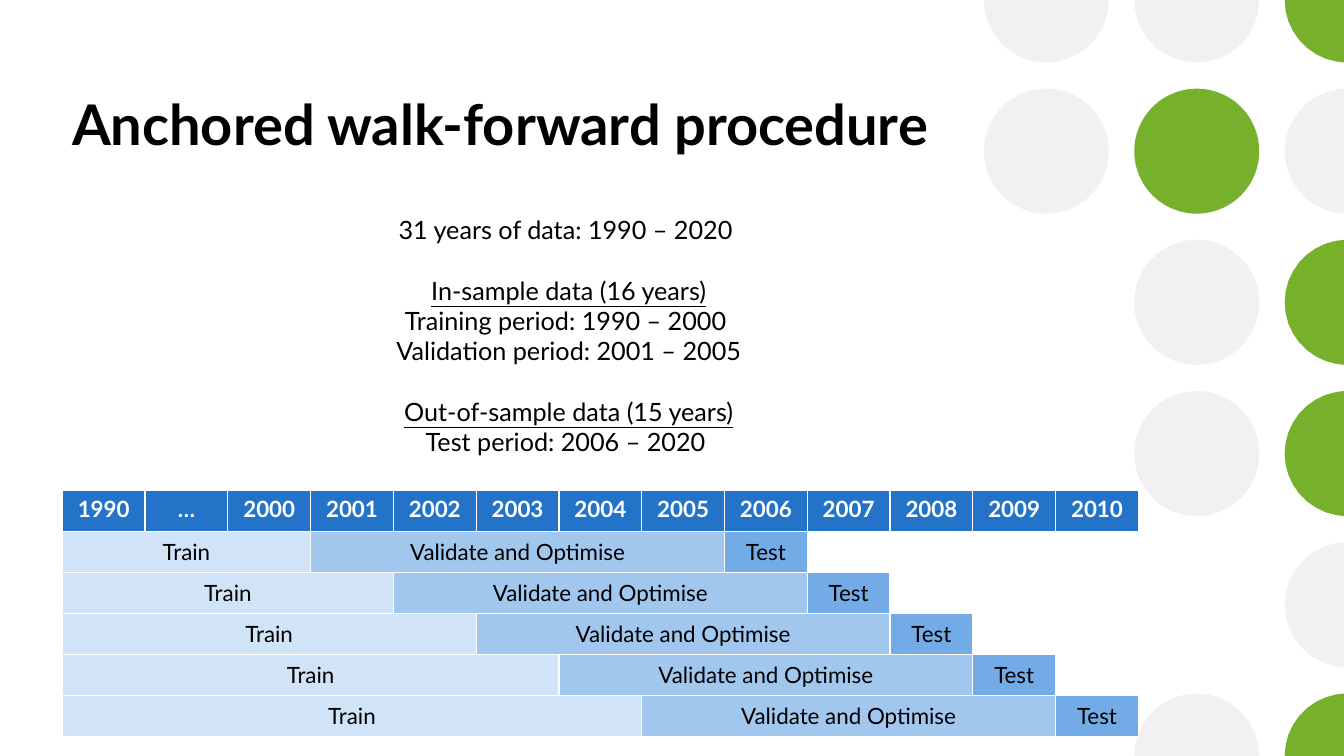
from dataclasses import dataclass
from math import cos, radians, sin

from pptx import Presentation
from pptx.dml.color import RGBColor
from pptx.enum.shapes import MSO_SHAPE
from pptx.enum.text import MSO_ANCHOR, PP_ALIGN
from pptx.slide import Slide
from pptx.table import _Cell
from pptx.text.text import _Paragraph
from pptx.util import Cm, Pt

LEFT, CENTER = PP_ALIGN.LEFT, PP_ALIGN.CENTER
TOP, MIDDLE = MSO_ANCHOR.TOP, MSO_ANCHOR.MIDDLE
OVAL, RECT = MSO_SHAPE.OVAL, MSO_SHAPE.RECTANGLE
WIDTH, HEIGHT = Cm(33.87), Cm(19.05)


@dataclass(frozen=True)
class Theme:
    font: str = "Lato"
    black: str = "000000"
    white: str = "FFFFFF"
    gray: str = "F2F0F3"
    green: str = "77B12B"
    head: str = "2374C9"
    train: str = "D0E3F7"
    tune: str = "A2C7EF"
    test: str = "73ABE7"
    title: int = 40
    body: int = 18
    table: int = 16


THEME = Theme()


@dataclass(frozen=True)
class Dot:
    col: int
    row: int
    color: str


@dataclass(frozen=True)
class Line:
    text: str
    head: bool = False


@dataclass(frozen=True)
class Phase:
    text: str
    start: int
    span: int
    color: str


# G is a green dot, L a light one
DOTS = ["LLG", "LGL", ".LG", ".LG", "..L", ".LG"]
TONES = {"G": THEME.green, "L": THEME.gray}
LINES = [
    Line("31 years of data: 1990 – 2020 "),
    Line("In-sample data (16 years)", head=True),
    Line("Training period: 1990 – 2000 "),
    Line("Validation period: 2001 – 2005"),
    Line("Out-of-sample data (15 years)", head=True),
    Line("Test period: 2006 – 2020 "),
]
YEARS = ["1990", "…"] + [str(year) for year in range(2000, 2011)]
RUNS, FIRST, TUNE = 5, 3, 5


def rgb(color: str) -> RGBColor:
    return RGBColor.from_string(color)


def write(para: _Paragraph, text: str, *, size: int, color: str = THEME.black,
          bold: bool = False, under: bool = False, align: PP_ALIGN = CENTER,
          before: float = 0) -> None:
    para.alignment = align
    para.space_before = Pt(before)
    run = para.add_run()
    run.text = text
    font = run.font
    font.name, font.size = THEME.font, Pt(size)
    font.bold, font.underline = bold, under
    font.color.rgb = rgb(color)


def outline(x: int, y: int, half: int) -> list[tuple[int, int]]:
    """Return the part of a circle's edge that lies on the slide."""
    right = x > WIDTH
    turns = range(90, 271, 10) if right else range(0, 360, 10)
    ring = [(min(round(x + half * cos(radians(turn))), WIDTH),
             round(y + half * sin(radians(turn)))) for turn in turns]
    points = [point for point in ring if 0 <= point[1] <= HEIGHT]
    if right and y in (0, HEIGHT):
        points.append((WIDTH, y))
    return points


def draw_dot(slide: Slide, dot: Dot) -> None:
    """Draw a circle, cut off where it would leave the slide."""
    size = Cm(3.15)
    half = size // 2
    x, y = Cm(26.37 + 3.79 * dot.col), Cm(3.81 * dot.row)
    if x <= WIDTH and 0 < y < HEIGHT:
        shape = slide.shapes.add_shape(OVAL, x - half, y - half, size, size)
    else:
        points = outline(x, y, half)
        form = slide.shapes.build_freeform(*points[0])
        form.add_line_segments(points[1:], close=True)
        shape = form.convert_to_shape()
    shape.shadow.inherit = False
    shape.fill.solid()
    shape.fill.fore_color.rgb = rgb(dot.color)
    shape.line.fill.background()


def draw_title(slide: Slide) -> None:
    box = slide.shapes.add_textbox(Cm(1.57), Cm(2.13), Cm(27.59), Cm(3.53))
    frame = box.text_frame
    frame.word_wrap = True
    frame.vertical_anchor = TOP
    write(frame.paragraphs[0], "Anchored walk-forward procedure",
          size=THEME.title, bold=True, align=LEFT)


def draw_body(slide: Slide) -> None:
    box = slide.shapes.add_shape(RECT, Cm(7.39), Cm(5.26), Cm(13.89), Cm(6.4))
    box.shadow.inherit = False
    box.fill.solid()
    box.fill.fore_color.rgb = rgb(THEME.white)
    box.line.fill.background()
    frame = box.text_frame
    frame.word_wrap = True
    frame.vertical_anchor = MIDDLE
    for i, line in enumerate(LINES):
        para = frame.add_paragraph() if i else frame.paragraphs[0]
        write(para, line.text, size=THEME.body, under=line.head,
              before=1.2 * THEME.body if line.head else 0)


def fill_cell(cell: _Cell, text: str, tone: str, *, color: str = THEME.black,
              bold: bool = False, anchor: MSO_ANCHOR = MIDDLE) -> None:
    cell.fill.solid()
    cell.fill.fore_color.rgb = rgb(tone)
    cell.vertical_anchor = anchor
    write(cell.text_frame.paragraphs[0], text, size=THEME.table,
          color=color, bold=bold)


def draw_table(slide: Slide) -> None:
    frame = slide.shapes.add_table(RUNS + 1, len(YEARS), Cm(1.57), Cm(12.37),
                                   Cm(27.13), Cm(6.18))
    table = frame.table
    table.horz_banding = False
    for cell in table.iter_cells():
        cell.fill.background()
    for col, year in enumerate(YEARS):
        fill_cell(table.cell(0, col), year, THEME.head, color=THEME.white,
                  bold=True, anchor=TOP)
    for run in range(RUNS):
        train = FIRST + run
        phases = [
            Phase("Train", 0, train, THEME.train),
            Phase("Validate and Optimise", train, TUNE, THEME.tune),
            Phase("Test", train + TUNE, 1, THEME.test),
        ]
        for phase in phases:
            cell = table.cell(run + 1, phase.start)
            if phase.span > 1:
                cell.merge(table.cell(run + 1, phase.start + phase.span - 1))
            fill_cell(cell, phase.text, phase.color)


def main() -> None:
    deck = Presentation()
    deck.slide_width, deck.slide_height = WIDTH, HEIGHT
    slide = deck.slides.add_slide(deck.slide_layouts[6])
    for row, marks in enumerate(DOTS):
        for col, mark in enumerate(marks):
            if mark in TONES:
                draw_dot(slide, Dot(col, row, TONES[mark]))
    draw_title(slide)
    draw_table(slide)
    draw_body(slide)
    deck.save("out.pptx")


if __name__ == "__main__":
    main()
